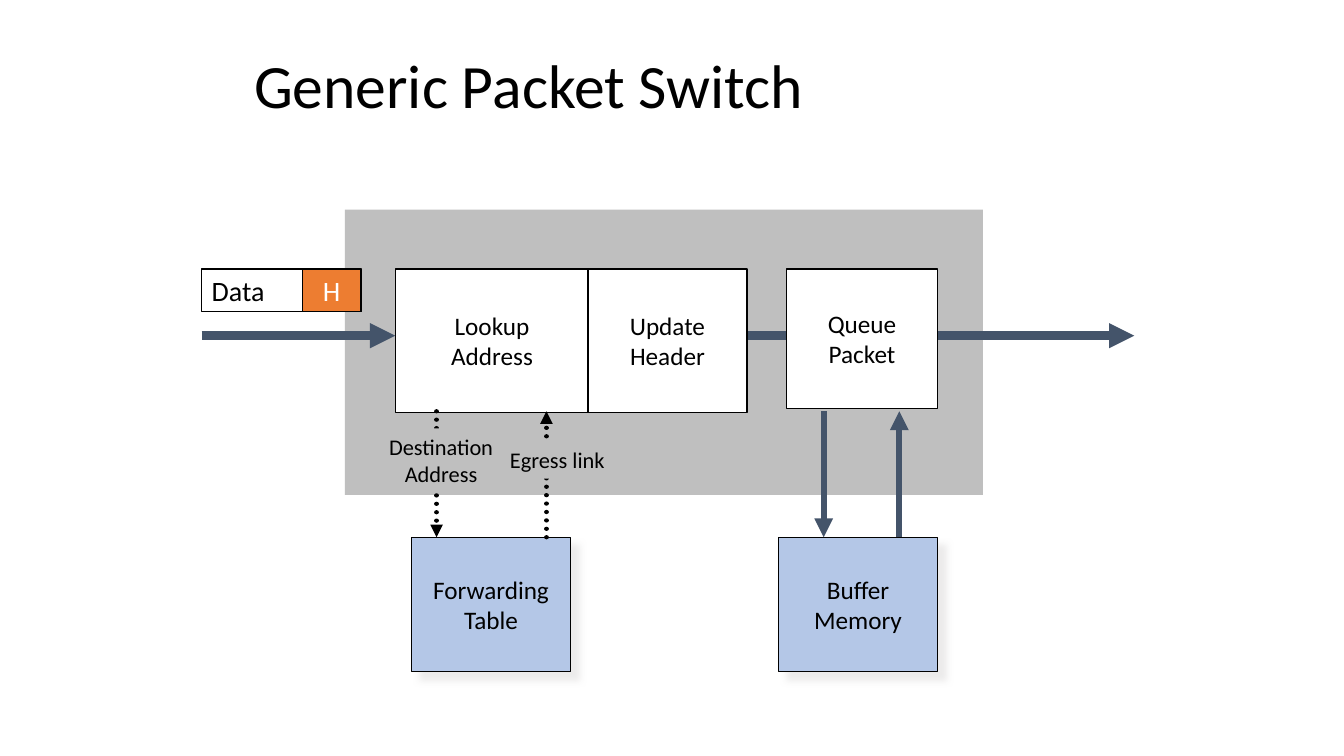
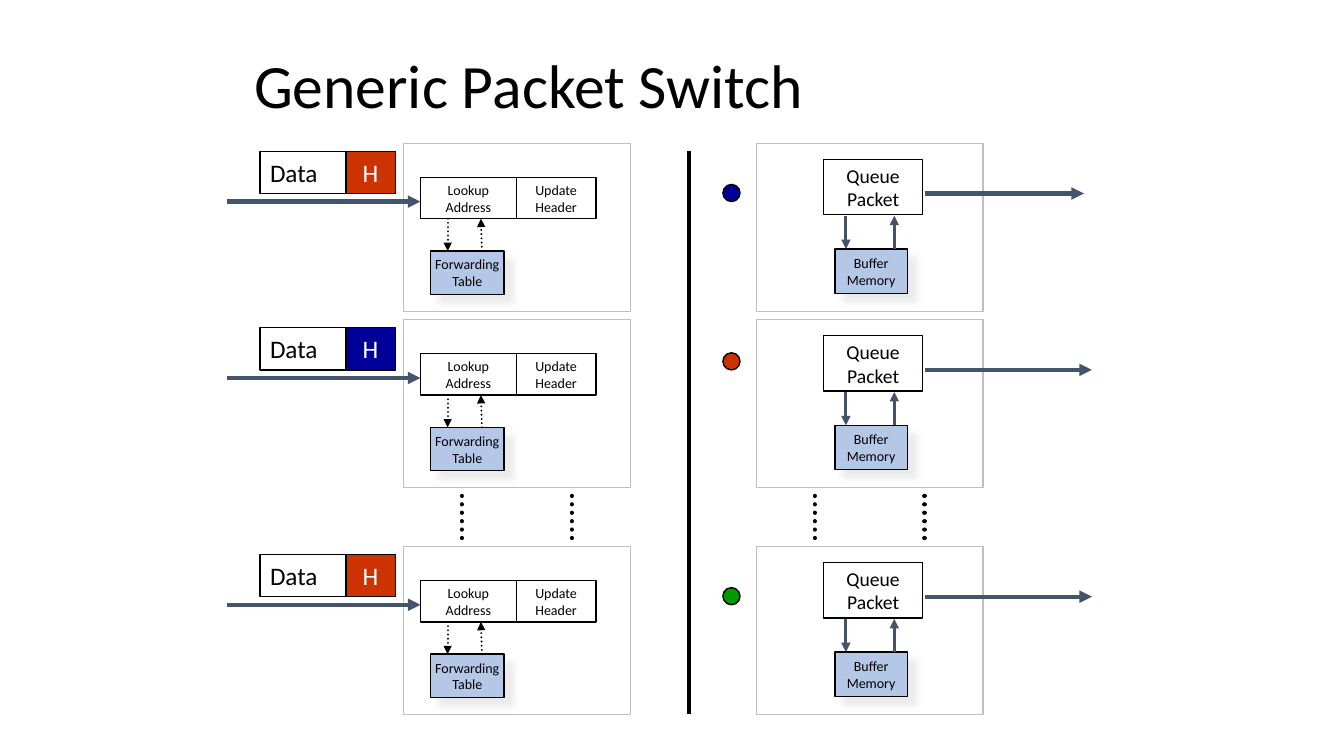
"""Build two slides that explain a generic packet switch."""
from lxml.etree import SubElement
from pptx import Presentation
from pptx.dml.color import RGBColor
from pptx.enum.dml import MSO_LINE
from pptx.enum.shapes import MSO_CONNECTOR, MSO_SHAPE
from pptx.enum.text import MSO_ANCHOR, MSO_AUTO_SIZE, PP_ALIGN
from pptx.oxml.ns import qn
from pptx.util import Inches, Pt

FONT = "Calibri"
BLACK, WHITE, GRAY = "000000", "FFFFFF", "BFBFBF"
SLATE, MEMORY_BLUE, ORANGE = "44546A", "B4C7E7", "ED7D31"
RED, NAVY, GREEN = "CC3300", "000099", "009900"


def add_box(slide, left, top, width, height, fill=WHITE, line=BLACK, text="", size=18,
            color=BLACK, align=PP_ALIGN.CENTER, line_width=1, kind=MSO_SHAPE.RECTANGLE):
    """Add a shape with optional fill, outline and text; memory boxes get a shadow."""
    shape = slide.shapes.add_shape(kind, Inches(left), Inches(top), Inches(width), Inches(height))
    shape.shadow.inherit = False
    if fill:
        shape.fill.solid()
        shape.fill.fore_color.rgb = RGBColor.from_string(fill)
    else:
        shape.fill.background()
    if line:
        shape.line.color.rgb = RGBColor.from_string(line)
        shape.line.width = Pt(line_width)
    else:
        shape.line.fill.background()
    if fill == MEMORY_BLUE:
        effects = shape._element.spPr.find(qn("a:effectLst"))
        shadow = SubElement(effects, qn("a:outerShdw"), blurRad=str(Pt(5)), dist=str(Pt(8.5)),
                            dir="2700000", algn="ctr", rotWithShape="0")
        tint = SubElement(shadow, qn("a:srgbClr"), val="E7E6E6")
        SubElement(tint, qn("a:alpha"), val="75000")
    if text:
        frame = shape.text_frame
        frame.text = text
        frame.word_wrap = False
        frame.vertical_anchor = MSO_ANCHOR.MIDDLE
        for paragraph in frame.paragraphs:
            paragraph.alignment = align
            for run in paragraph.runs:
                run.font.name = FONT
                run.font.size = Pt(size)
                run.font.color.rgb = RGBColor.from_string(color)
    return shape


def add_line(slide, start, end, color, width, arrow=True, dotted=False):
    """Draw a straight line from start to end, with an arrowhead at the end if asked."""
    points = [Inches(value) for value in (*start, *end)]
    connector = slide.shapes.add_connector(MSO_CONNECTOR.STRAIGHT, *points)
    connector.line.color.rgb = RGBColor.from_string(color)
    connector.line.width = Pt(width)
    outline = connector.line._get_or_add_ln()
    if dotted:
        connector.line.dash_style = MSO_LINE.ROUND_DOT
        outline.set("cap", "rnd")
    if arrow:
        SubElement(outline, qn("a:tailEnd"), type="triangle")
    SubElement(connector._element.spPr, qn("a:effectLst"))


presentation = Presentation()
presentation.slide_width = Inches(13.33)
presentation.slide_height = Inches(7.5)

slides = []
for _ in range(2):
    slide = presentation.slides.add_slide(presentation.slide_layouts[5])
    title = slide.shapes.title
    title.left, title.top = Inches(2.42), Inches(0.25)
    title.width, title.height = Inches(8.5), Inches(1.25)
    title.text_frame.text = "Generic Packet Switch"
    title.text_frame.vertical_anchor = MSO_ANCHOR.MIDDLE
    paragraph = title.text_frame.paragraphs[0]
    paragraph.alignment = PP_ALIGN.LEFT
    paragraph.line_spacing = 0.9
    font = paragraph.runs[0].font
    font.name = FONT
    font.size = Pt(44)
    font.color.rgb = RGBColor.from_string(BLACK)
    slides.append(slide)
overview, line_cards = slides

add_box(overview, 3.42, 2.08, 6.33, 2.83, fill=GRAY, line=None)
add_box(overview, 3.92, 2.67, 1.92, 1.42, text="Lookup\nAddress")
add_line(overview, (2, 3.33), (3.92, 3.33), SLATE, 6)
add_box(overview, 2, 2.67, 1.58, 0.42, text="Data", size=20, align=PP_ALIGN.LEFT)
add_box(overview, 3, 2.67, 0.58, 0.42, fill=ORANGE, text="H", size=20, color=WHITE)
add_line(overview, (7.42, 3.33), (11.25, 3.33), SLATE, 6)
add_box(overview, 7.8, 2.67, 1.5, 1.38, text="Queue\nPacket")
add_box(overview, 5.83, 2.67, 1.58, 1.42, text="Update\nHeader")

for left, text in ((4.08, "Forwarding\nTable"), (7.72, "Buffer\nMemory")):
    add_box(overview, left, 5.33, 1.58, 1.33, fill=MEMORY_BLUE, text=text)
for down, up, color, width, dotted in ((4.33, 5.42, BLACK, 3, True),
                                       (8.17, 8.92, SLATE, 4.5, False)):
    add_line(overview, (down, 4.08), (down, 5.33), color, width, dotted=dotted)
    add_line(overview, (up, 5.33), (up, 4.08), color, width, dotted=dotted)
for left, top, width, height, text, align in (
        (3.75, 4.25, 1.25, 0.64, "Destination\nAddress", PP_ALIGN.CENTER),
        (4.96, 4.38, 1.16, 0.37, "Egress link", PP_ALIGN.LEFT)):
    label = add_box(overview, left, top, width, height, fill=GRAY, line=None,
                    text=text, size=16, align=align)
    label.text_frame.vertical_anchor = MSO_ANCHOR.TOP
    label.text_frame.auto_size = MSO_AUTO_SIZE.SHAPE_TO_FIT_TEXT

for top, header_color, dot_color, dot_top, exit_end in (
        (1.42, RED, NAVY, 1.83, 10.75),
        (3.17, NAVY, RED, 3.5, 10.83),
        (5.42, RED, GREEN, 5.83, 10.83)):
    for left in (4, 7.5):
        add_box(line_cards, left, top, 2.25, 1.67, fill=None, line=GRAY, line_width=0.75)

    add_box(line_cards, 4.17, top + 0.34, 0.95, 0.41, text="Lookup\nAddress", size=10)
    add_box(line_cards, 5.12, top + 0.34, 0.79, 0.41, text="Update\nHeader", size=10)
    add_box(line_cards, 4.27, top + 1.07, 0.73, 0.43, fill=MEMORY_BLUE,
            text="Forwarding\nTable", size=10)
    add_line(line_cards, (4.44, top + 0.75), (4.44, top + 1.07), BLACK, 1.5, dotted=True)
    add_line(line_cards, (4.78, top + 1.07), (4.77, top + 0.75), BLACK, 1.5, dotted=True)
    add_line(line_cards, (2.25, top + 0.58), (4.17, top + 0.58), SLATE, 3)
    add_box(line_cards, 2.58, top + 0.08, 1.33, 0.42, text="Data", align=PP_ALIGN.LEFT)
    add_box(line_cards, 3.43, top + 0.08, 0.49, 0.42, fill=header_color, text="H", color=WHITE)

    add_box(line_cards, 8.17, top + 0.16, 0.98, 0.55, text="Queue\nPacket", size=14)
    add_box(line_cards, 8.28, top + 1.05, 0.72, 0.44, fill=MEMORY_BLUE,
            text="Buffer\nMemory", size=10)
    add_line(line_cards, (8.39, top + 0.72), (8.39, top + 1.05), SLATE, 2.25)
    add_line(line_cards, (8.87, top + 1.05), (8.87, top + 0.72), SLATE, 2.25)
    add_line(line_cards, (9.17, top + 0.5), (exit_end, top + 0.5), SLATE, 3)
    add_box(line_cards, 7.17, dot_top, 0.17, 0.17, fill=dot_color, kind=MSO_SHAPE.OVAL)

for x in (4.58, 5.67, 8.08, 9.17):
    add_line(line_cards, (x, 4.92), (x, 5.42), BLACK, 3, arrow=False, dotted=True)
add_line(line_cards, (6.83, 1.5), (6.83, 7.08), BLACK, 3, arrow=False)

presentation.save("out.pptx")
